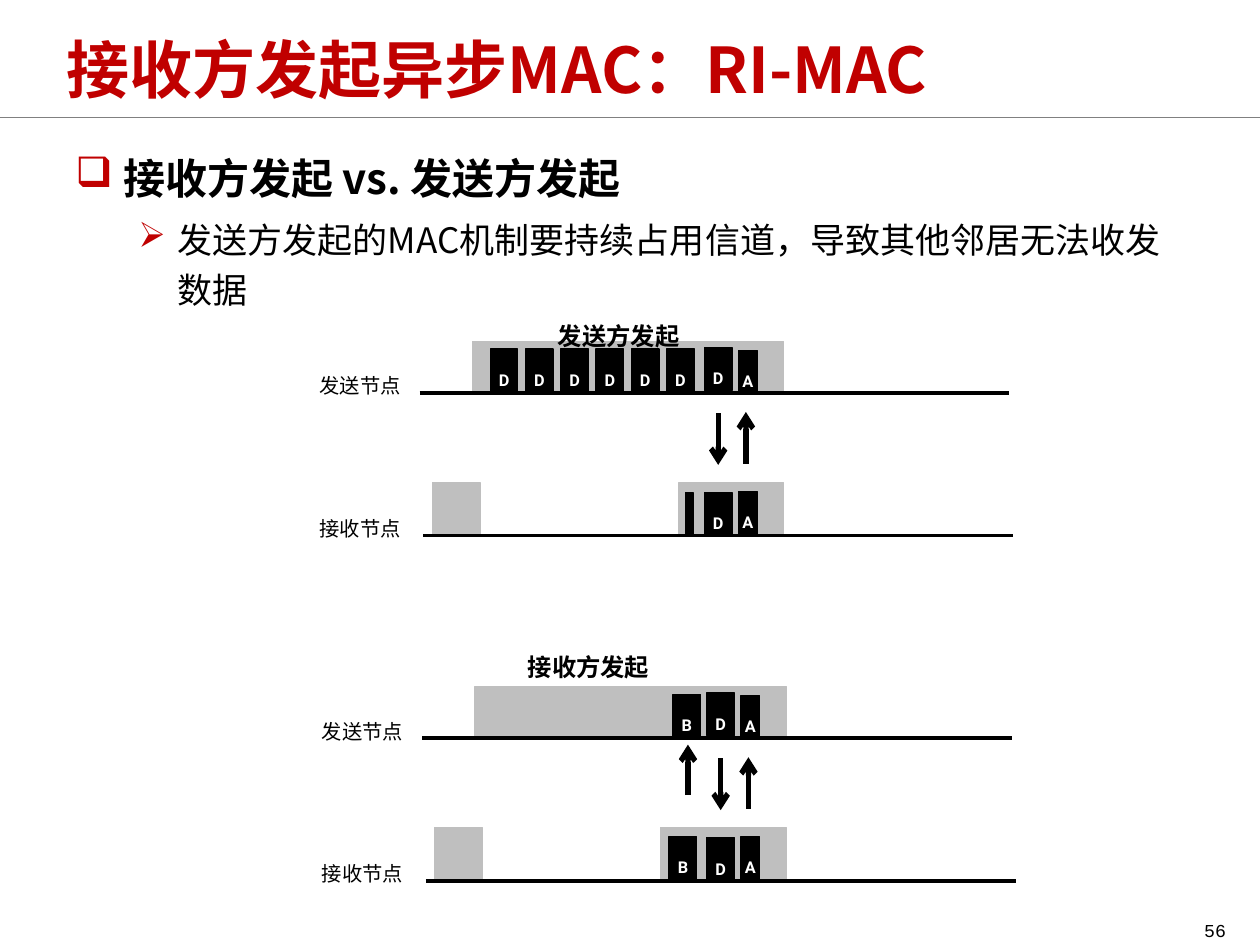
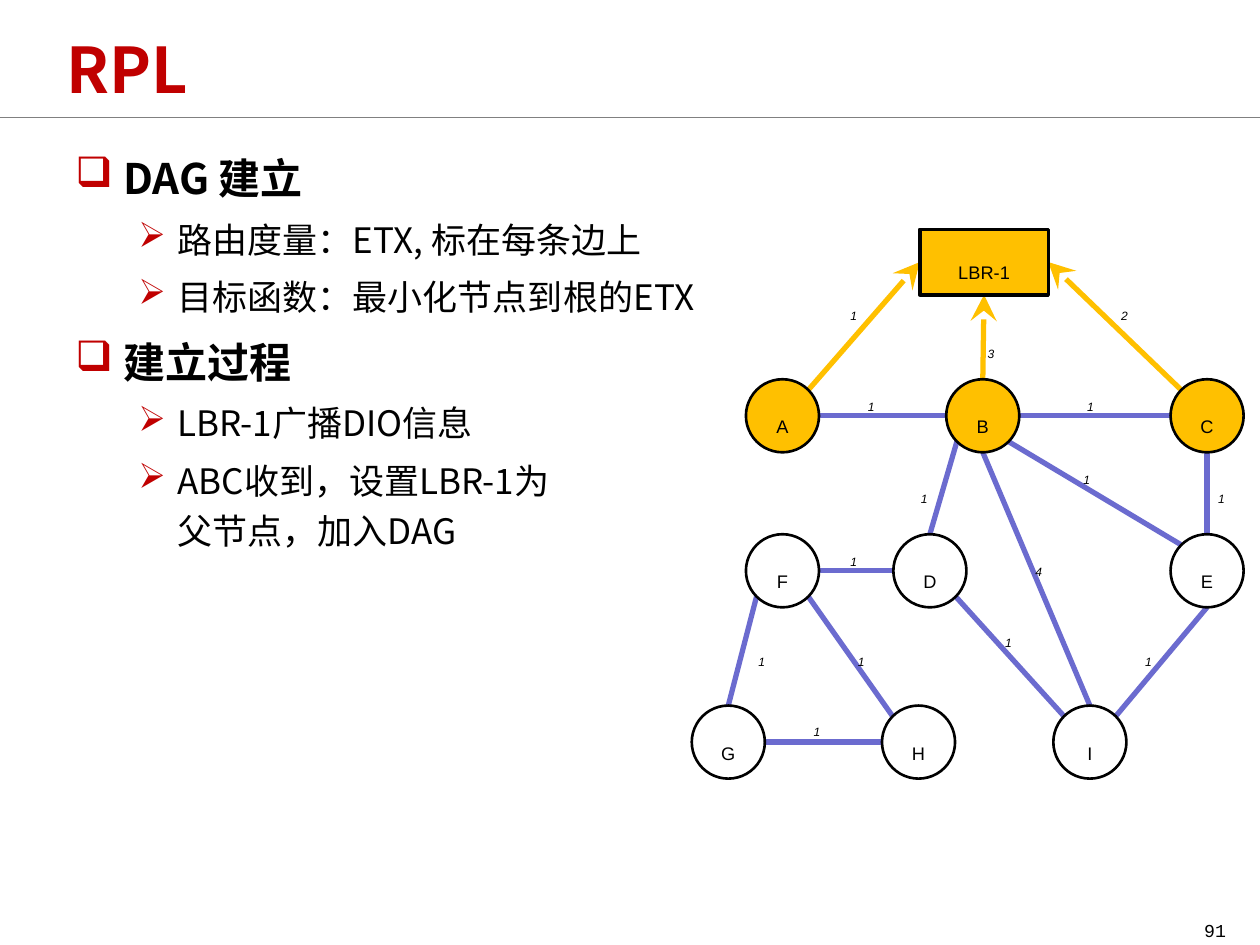
from pptx import Presentation
from pptx.dml.color import RGBColor as RGB
from pptx.enum.shapes import MSO_CONNECTOR as Link, MSO_SHAPE as Kind
from pptx.enum.text import MSO_ANCHOR as Anchor, MSO_AUTO_SIZE as Fit, PP_ALIGN as Align
from pptx.oxml.ns import qn
from pptx.util import Inches, Pt
from lxml import etree

HUES = {"red": "C00000", "black": "000000", "white": "FFFFFF", "rule": "808080",
        "gray": "BFBFBF", "gold": "FFC000", "blue": "6B6BCF"}
SANS = "Noto Sans CJK SC"
TITLE = dict(name=SANS, size=Pt(36), bold=True, hue="red")
LABEL = dict(name=SANS, size=Pt(20), low=True)
HEAD = dict(name=SANS, size=Pt(24), bold=True, low=True)
PACK = dict(name="Roboto", size=Pt(16), bold=True, hue="white", low=True)
NODE = dict(name="Arial", size=Pt(18), low=True)
COST = dict(name="Arial", size=Pt(12), italic=True, low=True)
PAGE = dict(name="Courier New", size=Pt(18), low=True)
LEVELS = [
    dict(font=dict(name=SANS, size=Pt(24), bold=True), mark="❑", left=0.38, hang=0.38, gap=4.8),
    dict(font=dict(name=SANS, size=Pt(20), bold=False), mark="➢", left=0.81, hang=0.31, gap=4),
]


def color(hue):
    return RGB.from_string(HUES[hue])


def style(run, form):
    for key, val in form.items():
        if key not in ("hue", "low"):
            setattr(run.font, key, val)
    run.font.color.rgb = color(form.get("hue", "black"))
    prop = run._r.get_or_add_rPr()
    if form.get("low"):
        prop.set("baseline", "-25000")
    etree.SubElement(prop, qn("a:ea")).set("typeface", form["name"])


def write(shape, text, form, align=Align.LEFT, anchor=Anchor.TOP, pad=0.1):
    frame = shape.text_frame
    look = dict(word_wrap=True, auto_size=Fit.NONE, vertical_anchor=anchor,
                margin_left=Inches(pad), margin_right=Inches(pad))
    for key, val in look.items():
        setattr(frame, key, val)
    para = frame.paragraphs[0]
    para.text = text
    para.alignment = align
    for run in para.runs:
        style(run, form)


def label(slide, box, text, form, **look):
    write(slide.shapes.add_textbox(*map(Inches, box)), text, form, **look)


def block(slide, box, fill, edge, width=0.75, kind=Kind.RECTANGLE):
    shape = slide.shapes.add_shape(kind, *map(Inches, box))
    shape.shadow.inherit = False
    shape.fill.solid()
    shape.fill.fore_color.rgb = color(fill)
    shape.line.color.rgb = color(edge)
    shape.line.width = Pt(width)
    return shape


def wire(slide, start, end, hue, width, tip=None, size="med"):
    line = slide.shapes.add_connector(Link.STRAIGHT, *map(Inches, (*start, *end)))
    line.line.color.rgb = color(hue)
    line.line.width = Pt(width)
    prop = line._element.spPr
    if tip:
        tail = etree.SubElement(prop.find(qn("a:ln")), qn("a:tailEnd"))
        for key, val in dict(type=tip, w=size, len=size).items():
            tail.set(key, val)
    etree.SubElement(prop, qn("a:effectLst"))


def bullet(para, level):
    prop = para._p.get_or_add_pPr()
    prop.set("marL", str(Inches(level["left"])))
    prop.set("indent", str(-Inches(level["hang"])))
    tint = etree.SubElement(prop, qn("a:buClr"))
    etree.SubElement(tint, qn("a:srgbClr")).set("val", HUES["red"])
    etree.SubElement(prop, qn("a:buChar")).set("char", level["mark"])


def outline(slide, box, items):
    frame = slide.shapes.add_textbox(*map(Inches, box)).text_frame
    frame.word_wrap = True
    for at, (depth, text) in enumerate(items):
        para = frame.add_paragraph() if at else frame.paragraphs[0]
        level = LEVELS[depth]
        bullet(para, level)
        para.text = text
        para.line_spacing = 1.2
        para.space_before = Pt(level["gap"] if at else 0)
        for run in para.runs:
            style(run, level["font"])


def page(deck, title, number, items):
    slide = deck.slides.add_slide(deck.slide_layouts[5])
    wire(slide, (0, 0.93), (10, 0.93), "rule", 0.25)
    head = slide.shapes.title
    for key, val in dict(left=0.43, top=0.04, width=9.01, height=1).items():
        setattr(head, key, Inches(val))
    write(head, title, TITLE, anchor=Anchor.MIDDLE)
    outline(slide, (0.5, 1.08, 9.08, 5.92), items)
    label(slide, (9, 7.17, 0.83, 0.25), number, PAGE, align=Align.RIGHT, anchor=Anchor.MIDDLE)
    return slide


def timing(slide, x, y, title, spot, wake, packs, arrows):
    for left, top, width in [(0.42, -0.41, 2.47), (0.1, 0.71, 0.38), (2.89 - wake, 0.71, wake)]:
        block(slide, (x + left, y + top, width, 0.41), "gray", "gray")
    for name, left, top in [("发送节点", 0, 0), ("接收节点", 0.03, 1.13)]:
        wire(slide, (x + left, y + top), (x + left + 4.68, y + top), "black", 2.25)
        label(slide, (x - 1.37, y + top - 0.39, 1.32, 0.44), name, LABEL, align=Align.RIGHT)
    for text, left, top in packs:
        width = {"A": 0.15, "": 0.06}.get(text, 0.22)
        pack = block(slide, (x + left, y + top, width, 0.34), "black", "black")
        if text:
            write(pack, text, PACK, align=Align.CENTER, anchor=Anchor.MIDDLE, pad=0)
    for left, start, end in arrows:
        wire(slide, (x + left, y + start), (x + left, y + end), "black", 3, "arrow")
    label(slide, (x + spot[0], y + spot[1], 1.88, 0.5), title, HEAD)


SITES = {"t": (0, -1), "b": (0, 1), "l": (-1, 0), "r": (1, 0),
         "tl": (-0.71, -0.71), "tr": (0.71, -0.71), "bl": (-0.71, 0.71), "br": (0.71, 0.71)}
NODES = {"A": (0.72, 1.48), "B": (2.31, 1.48), "C": (4.09, 1.48),
         "F": (0.72, 2.71), "D": (1.89, 2.71), "E": (4.09, 2.71),
         "G": (0.29, 4.07), "H": (1.8, 4.07), "I": (3.16, 4.07)}
ROOT = "LBR-1"
EDGES = [("A", "tr", ROOT, "l", "1", 1.16, 0.47), ("B", "t", ROOT, "b", "3", 2.25, 0.77),
         ("C", "tl", ROOT, "r", "2", 3.31, 0.47), ("A", "r", "B", "l", "1", 1.3, 1.19),
         ("B", "r", "C", "l", "1", 3.04, 1.19), ("B", "bl", "D", "t", "1", 1.72, 1.92),
         ("B", "br", "E", "tl", "1", 3.01, 1.77), ("B", "b", "I", "t", "4", 2.63, 2.5),
         ("C", "b", "E", "t", "1", 4.08, 1.92), ("F", "r", "D", "l", "1", 1.16, 2.42),
         ("F", "bl", "G", "t", "1", 0.43, 3.21), ("F", "br", "H", "tl", "1", 1.22, 3.21),
         ("D", "br", "I", "tl", "1", 2.39, 3.06), ("E", "b", "I", "tr", "1", 3.5, 3.21),
         ("G", "r", "H", "l", "1", 0.87, 3.77)]


def graph(slide, x, y):
    mid, wide, high, rad = (2.32, 0.26), 1.02, 0.52, 0.29

    def port(name, site):
        cx, cy = NODES.get(name, mid)
        rx, ry = (wide / 2, high / 2) if name == ROOT else (rad, rad)
        dx, dy = SITES[site]
        return x + cx + dx * rx, y + cy + dy * ry

    for one, out, two, into, *_ in EDGES:
        look = ("gold", 3, "stealth", "lg") if two == ROOT else ("blue", 3)
        wire(slide, port(one, out), port(two, into), *look)
    for name, (cx, cy) in NODES.items():
        fill = "gold" if name in "ABC" else "white"
        box = (x + cx - rad, y + cy - rad, 2 * rad, 2 * rad)
        node = block(slide, box, fill, "black", 1.5, Kind.OVAL)
        write(node, name, NODE, align=Align.CENTER, anchor=Anchor.MIDDLE)
    root = block(slide, (x + mid[0] - wide / 2, y, wide, high), "gold", "black", 2)
    write(root, ROOT, NODE, align=Align.CENTER, anchor=Anchor.MIDDLE)
    for *_, cost, left, top in EDGES:
        label(slide, (x + left, y + top, 0.3, 0.3), cost, COST)


def main():
    deck = Presentation()
    deck.slide_width, deck.slide_height = Inches(10), Inches(7.5)

    slide = page(deck, "接收方发起异步MAC：RI-MAC", "56", [
        (0, "接收方发起 vs. 发送方发起"),
        (1, "发送方发起的MAC机制要持续占用信道，导致其他邻居无法收发数据")])
    packs = [("D", 2.26, -0.36), ("A", 2.53, -0.34), ("D", 2.26, 0.79), ("A", 2.53, 0.78)]
    arrows = [(2.37, 0.16, 0.57), (2.59, 0.56, 0.15)]
    burst = [("D", 0.56 + 0.28 * at, -0.35) for at in range(6)]
    timing(slide, 3.33, 3.12, "发送方发起", (1, -0.84), 0.83,
           burst + [("", 2.11, 0.79)] + packs, arrows)
    timing(slide, 3.35, 5.86, "接收方发起", (0.74, -0.96), 1,
           packs + [("B", 1.99, -0.35), ("B", 1.96, 0.78)], arrows + [(2.11, 0.45, 0.05)])

    slide = page(deck, "RPL", "91", [
        (0, "DAG 建立"),
        (1, "路由度量：ETX, 标在每条边上"),
        (1, "目标函数：最小化节点到根的ETX"),
        (0, "建立过程"),
        (1, "LBR-1广播DIO信息"),
        (1, "ABC收到，设置LBR-1为\v父节点，加入DAG")])
    graph(slide, 5.49, 1.82)
    deck.save("out.pptx")


if __name__ == "__main__":
    main()
